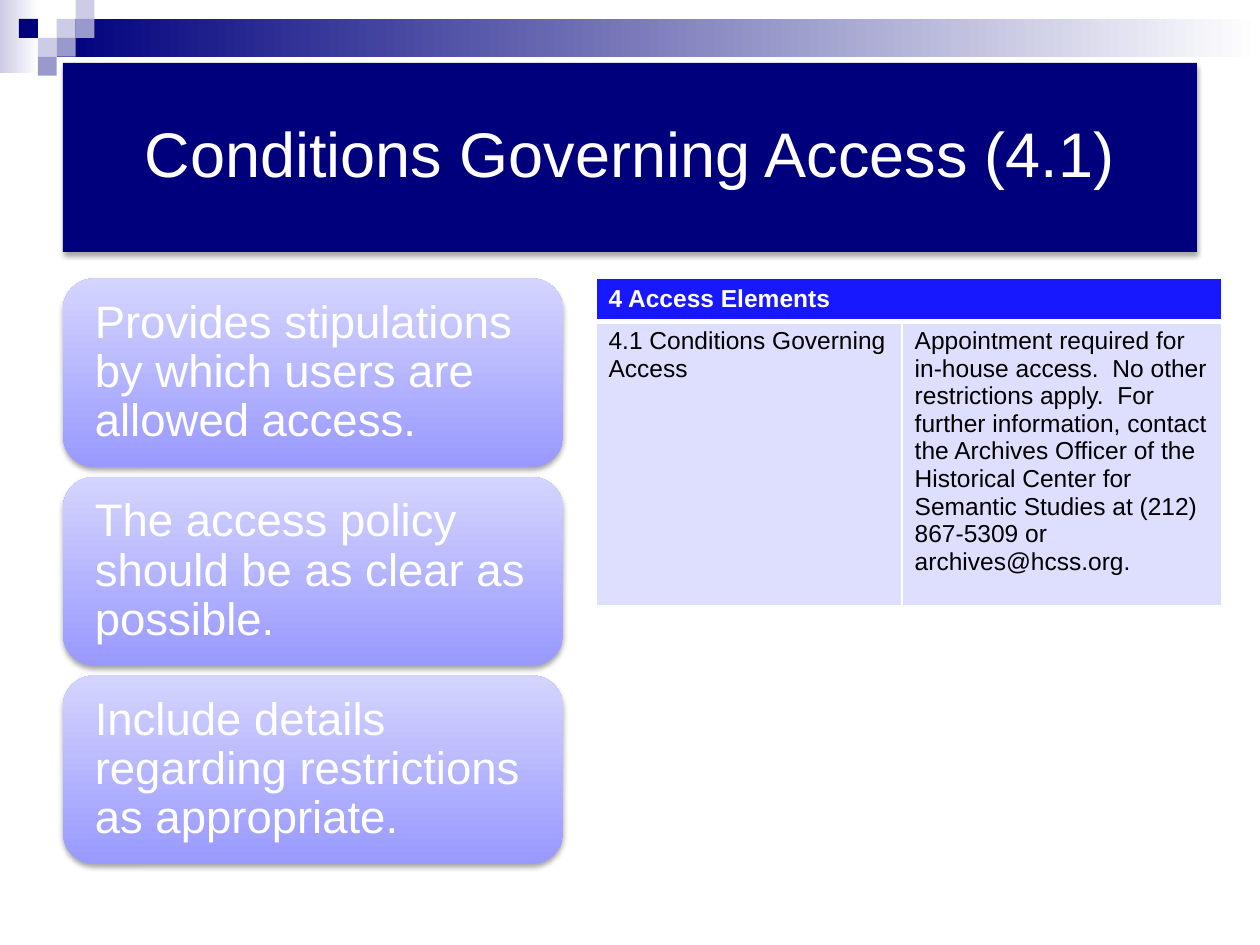
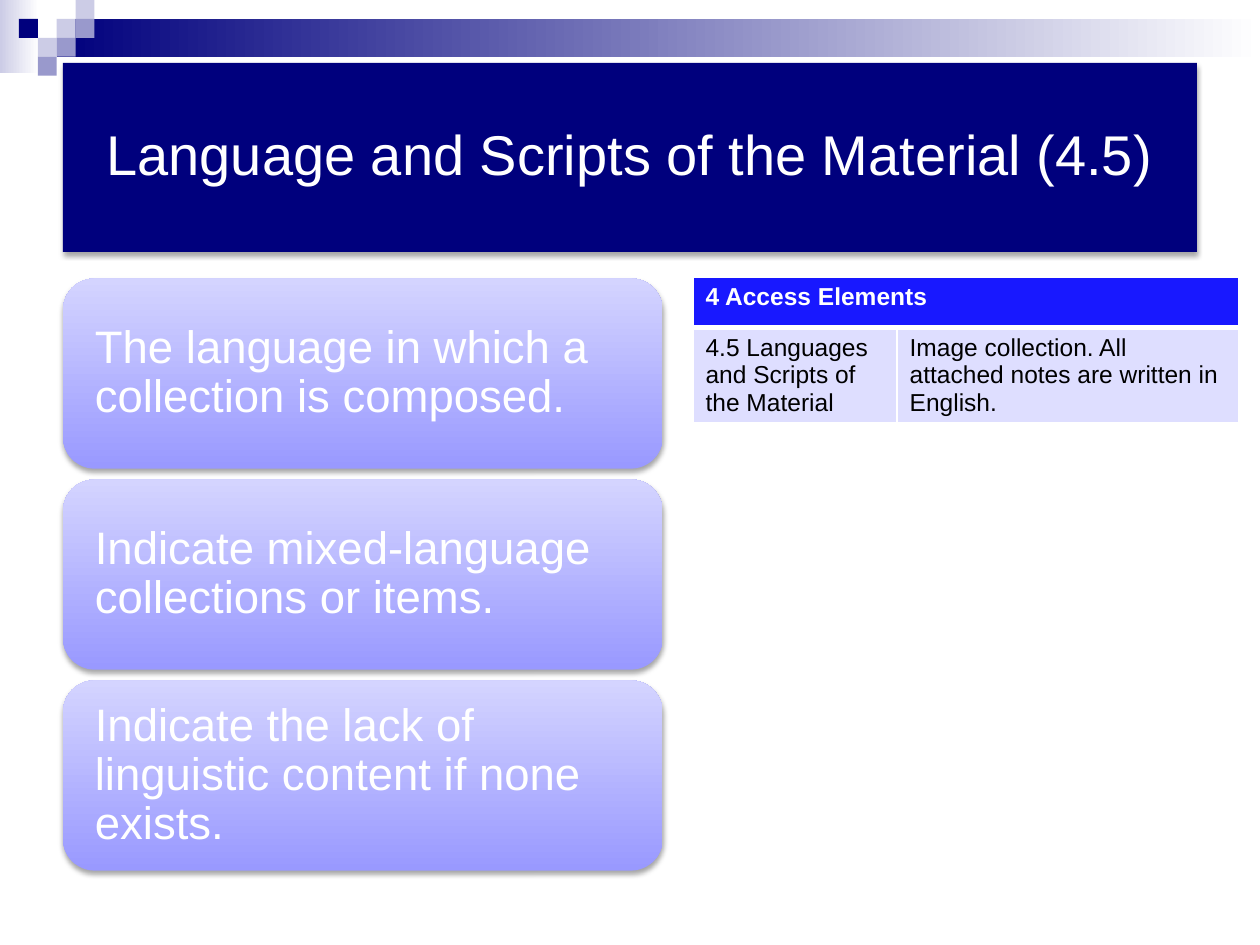
from lxml import etree
from pptx import Presentation, util as u
from pptx.dml.color import RGBColor
from pptx.enum import shapes, text
from pptx.oxml.ns import qn

COLS, ROWS, PIXEL = 20, 15, 0.3
NAVY, BLUE, WHITE, BLACK = "00007D", "1818FF", "FFFFFF", "000000"
PALE, MID, CELL = "CCCCE6", "9999CC", "DEDEFF"
CARD = ["9999FF", "D4D4FF"]
RECT, ROUND = shapes.MSO_SHAPE.RECTANGLE, shapes.MSO_SHAPE.ROUNDED_RECTANGLE

prs = Presentation()
prs.slide_width, prs.slide_height = u.Inches(10), u.Inches(7.5)
unit = prs.slide_width / COLS

bands = [(0, 0, 0.62, 1.16, PALE), (3 * PIXEL, PIXEL, COLS - 3 * PIXEL, 2 * PIXEL, NAVY)]
pixels = [(3, 1, PALE), (4, 0, PALE), (4, 1, MID), (2, 2, PALE), (1, 1, NAVY), (3, 2, MID), (2, 3, MID)]

slides = [
    dict(title="Conditions Governing Access (4.1)", size=36, inset=0.3,
         cards=["Provides stipulations by which users are allowed access.",
                "The access policy should be as clear as possible.",
                "Include details regarding restrictions as appropriate."],
         card_w=7.94, card_h=3, pitch=3.15,
         table=(9.46, 4.42), widths=[4.86, 5.08], heights=[0.68, 4.52],
         row=["4.1 Conditions Governing Access",
              "Appointment required for in-house access.  No other restrictions apply.  "
              "For further information, contact the Archives Officer of the Historical "
              "Center for Semantic Studies at (212) 867-5309 or archives@hcss.org."]),
    dict(title="Language and Scripts of the Material (4.5)", size=32, inset=0.26,
         cards=["The language in which a collection is composed.",
                "Indicate mixed-language collections or items.",
                "Indicate the lack of linguistic content if none exists."],
         card_w=9.52, card_h=3.02, pitch=3.19,
         table=(11, 4.4), widths=[3.24, 5.42], heights=[0.8, 1.5],
         row=["4.5 Languages and Scripts of the Material",
              "Image collection. All attached notes are written in English."]),
]


def block(s, kind, x, y, w, h, colors, angle=0, shadow=False):
    sp = s.shapes.add_shape(kind, *(int(v * unit) for v in (x, y, w, h)))
    sp.line.fill.background()
    sp.shadow.inherit = False
    if len(colors) == 1:
        sp.fill.solid()
        sp.fill.fore_color.rgb = RGBColor.from_string(colors[0])
    else:
        sp.fill.gradient()
        sp.fill.gradient_angle = angle
        for stop, color in zip(sp.fill.gradient_stops, colors):
            stop.color.rgb = RGBColor.from_string(color)
    if shadow:
        effects = sp._element.spPr.find(qn("a:effectLst"))
        outer = etree.SubElement(effects, qn("a:outerShdw"), blurRad=str(u.Pt(3.1)),
                                 dist=str(u.Pt(1.8)), dir="5400000", rotWithShape="0")
        color = etree.SubElement(outer, qn("a:srgbClr"), val=BLACK)
        etree.SubElement(color, qn("a:alpha"), val="35000")
    return sp


def write(tf, words, size, color, align=text.PP_ALIGN.LEFT, inset=None, bold=False):
    tf.text = words
    p = tf.paragraphs[0]
    p.alignment = align
    if inset is not None:
        tf.word_wrap = True
        tf.vertical_anchor = text.MSO_ANCHOR.MIDDLE
        tf.margin_left = tf.margin_right = tf.margin_top = tf.margin_bottom = int(inset * unit)
        p.line_spacing = 0.9
    font = p.runs[0].font
    font.name, font.size, font.bold = "Arial", u.Pt(size), bold
    font.color.rgb = RGBColor.from_string(color)


for page in slides:
    s = prs.slides.add_slide(prs.slide_layouts[6])
    for x, y, w, h, color in bands:
        block(s, RECT, x, y, w, h, [color, WHITE])
    for col, row, color in pixels:
        block(s, RECT, col * PIXEL, row * PIXEL, PIXEL, PIXEL, [color])

    for i, words in enumerate(page["cards"]):
        sp = block(s, ROUND, 1, 4.42 + i * page["pitch"], page["card_w"], page["card_h"],
                   CARD, angle=90, shadow=True)
        write(sp.text_frame, words, 26, WHITE, inset=0.36)

    sp = block(s, RECT, 1, 1, 18, 3, [NAVY], shadow=True)
    write(sp.text_frame, page["title"], page["size"], WHITE, text.PP_ALIGN.CENTER, page["inset"])

    widths, heights = page["widths"], page["heights"]
    area = (*page["table"], sum(widths), sum(heights))
    table = s.shapes.add_table(2, 2, *(int(v * unit) for v in area)).table
    for column, width in zip(table.columns, widths):
        column.width = int(width * unit)
    for row, height in zip(table.rows, heights):
        row.height = int(height * unit)
    table.cell(0, 0).merge(table.cell(0, 1))
    for r in range(2):
        for c in range(2):
            cell = table.cell(r, c)
            tcPr = cell._tc.get_or_add_tcPr()
            for side in "LRTB":
                thick = (r, side) in [(0, "B"), (1, "T")]
                ln = etree.SubElement(tcPr, qn("a:ln" + side), w=str(u.Pt(3 if thick else 1)))
                fill = etree.SubElement(ln, qn("a:solidFill"))
                etree.SubElement(fill, qn("a:srgbClr"), val=WHITE)
            cell.fill.solid()
            cell.fill.fore_color.rgb = RGBColor.from_string(CELL if r else BLUE)
    write(table.cell(0, 0).text_frame, "4 Access Elements", 14, WHITE, bold=True)
    for c, words in enumerate(page["row"]):
        write(table.cell(1, c).text_frame, words, 14, BLACK)

prs.save("out.pptx")
